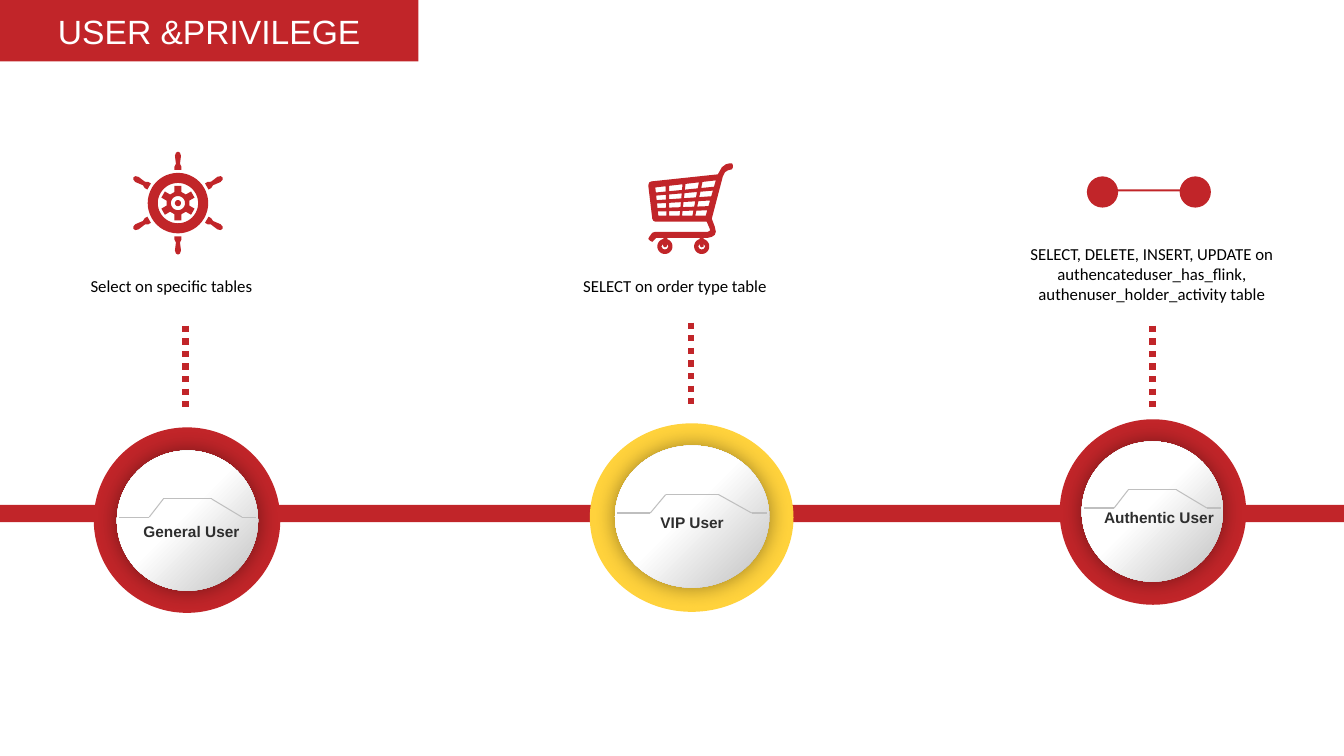
import dataclasses
import math
import typing

import lxml.etree
import pptx
import pptx.dml.color
import pptx.enum.dml
import pptx.enum.shapes
import pptx.enum.text
import pptx.oxml.ns
import pptx.util

PX = 9144
RED, GOLD, GREY, WHITE = "C12529", "FFD23C", "BFBFBF", "FFFFFF"
OVAL = pptx.enum.shapes.MSO_SHAPE.OVAL
RECT = pptx.enum.shapes.MSO_SHAPE.RECTANGLE
LEFT = pptx.enum.text.PP_ALIGN.LEFT
MID = pptx.enum.text.PP_ALIGN.CENTER

Point = tuple[float, float]
Path = list[Point]


@dataclasses.dataclass
class Box:
    x: int
    y: int
    w: int
    h: int


@dataclasses.dataclass
class Badge:
    ring: Box
    disc: Box
    fill: str


@dataclasses.dataclass
class Note:
    text: str
    box: Box
    look: dict[str, typing.Any]
    align: typing.Any
    wrap: bool


def tint(code: str) -> pptx.dml.color.RGBColor:
    return pptx.dml.color.RGBColor.from_string(code)


def put(target: typing.Any, values: dict[str, typing.Any]) -> None:
    for key, value in values.items():
        setattr(target, key, value)


def emu(box: Box) -> list[int]:
    return [side * PX for side in (box.x, box.y, box.w, box.h)]


def paint(shape: typing.Any, code: str) -> None:
    shape.fill.solid()
    shape.fill.fore_color.rgb = tint(code)
    shape.line.fill.background()
    shape.shadow.inherit = False


def block(shapes: typing.Any, kind: typing.Any, box: Box, code: str) -> typing.Any:
    shape = shapes.add_shape(kind, *emu(box))
    paint(shape, code)
    return shape


def stroke(shapes: typing.Any, start: Point, end: Point, code: str, width: float) -> typing.Any:
    ends = [round(side * PX) for side in (*start, *end)]
    line = shapes.add_connector(pptx.enum.shapes.MSO_CONNECTOR.STRAIGHT, *ends)
    line.line.color.rgb = tint(code)
    line.line.width = pptx.util.Pt(width)
    lxml.etree.SubElement(line._element.spPr, pptx.oxml.ns.qn("a:effectLst"))
    return line


def write(frame: typing.Any, text: str, look: dict[str, typing.Any], align: typing.Any) -> None:
    part = frame.paragraphs[0]
    part.alignment = align
    run = part.add_run()
    run.text = text
    put(run.font, {key: value for key, value in look.items() if key != "rgb"})
    run.font.color.rgb = tint(look["rgb"])


def label(shapes: typing.Any, note: Note) -> None:
    frame = shapes.add_textbox(*emu(note.box)).text_frame
    put(frame, {"word_wrap": note.wrap,
                "auto_size": pptx.enum.text.MSO_AUTO_SIZE.SHAPE_TO_FIT_TEXT})
    write(frame, note.text, note.look, note.align)


def shade(shape: typing.Any) -> None:
    name = pptx.oxml.ns.qn
    list_ = shape._element.spPr.find(name("a:effectLst"))
    cast = lxml.etree.SubElement(list_, name("a:outerShdw"),
                                 blurRad=str(pptx.util.Pt(15)), dist="0", algn="ctr")
    black = lxml.etree.SubElement(cast, name("a:srgbClr"), val="000000")
    lxml.etree.SubElement(black, name("a:alpha"), val="40000")


def draw_badge(slide: typing.Any, badge: Badge) -> None:
    shapes = slide.shapes.add_group_shape().shapes
    block(shapes, OVAL, badge.ring, badge.fill)
    disc = block(shapes, OVAL, badge.disc, WHITE)
    disc.fill.gradient()
    disc.fill.gradient_angle = 135
    for stop, code, place in zip(disc.fill.gradient_stops, (GREY, WHITE), (0, 0.54)):
        stop.color.rgb = tint(code)
        stop.position = place
    shade(disc)
    box = badge.disc
    trace = [(box.x + x * box.w / 140, box.y + y * box.h / 139) for x, y in TRACE]
    for start, end in zip(trace, trace[1:]):
        stroke(shapes, start, end, GREY, 0.75)


def round_path(x: float, y: float, size: float) -> Path:
    turns = [math.tau * step / 48 for step in range(48)]
    return [(x + size * math.cos(turn), y + size * math.sin(turn)) for turn in turns]


def spin(path: Path, turn: float, x: float, y: float) -> Path:
    cos, sin = math.cos(turn), math.sin(turn)
    return [(x + a * cos - b * sin, y + a * sin + b * cos) for a, b in path]


def outline(shapes: typing.Any, paths: list[Path], code: str) -> None:
    plans = [[(x * PX, y * PX) for x, y in path] for path in paths]
    pen = shapes.build_freeform(*plans[0][0], scale=1.0)
    for rank, plan in enumerate(plans):
        if rank:
            pen.move_to(*plan[0])
        pen.add_line_segments(plan[1:], close=True)
    paint(pen.convert_to_shape(), code)


def helm(x: float, y: float) -> list[Path]:
    turns = [math.tau * step / 6 for step in range(6)]
    spokes = [spin(SPOKE, turn, x, y) for turn in turns]
    gear = [point for turn in turns for point in spin(TOOTH, turn, x, y)]
    rings = [round_path(x, y, size) for size in (30, 20, 7, 3)]
    return spokes + [gear] + rings


def cart() -> list[Path]:
    def spot(u: float, v: float) -> Point:
        return (650 + 3 * v + u * (60 - 13 * v), 186 - 7 * u + v * (28 + 7 * u))

    cells = [[spot(a, c), spot(b, c), spot(b, d), spot(a, d)]
             for a, b in ((0, 0.17), (0.23, 0.45), (0.5, 0.72), (0.78, 1))
             for c, d in ((0, 0.18), (0.29, 0.45), (0.57, 0.73), (0.85, 1))]
    wheels = [path for x in (659.5, 696)
              for path in (round_path(x, 244.5, 7.5), spin(HOLE, 0, x, 244.5))]
    return [FRAME] + cells + wheels


TRACE: Path = [(2, 66), (32, 66), (46, 48), (94, 48), (124, 66), (138, 66)]
SPOKE: Path = [(-3.5, -33), (-3.5, -36), (-2, -39), (-3, -47), (-2, -50), (0, -51),
               (2, -50), (3, -47), (2, -39), (3.5, -36), (3.5, -33)]
TOOTH: Path = [(-3.5, -11), (-3.5, -17), (0, -17), (3.5, -17), (3.5, -11)]
HOLE: Path = [(-3.5, 0), (-2, -2.5), (-1.5, 0), (0, 1), (2, 0), (2, -2.5),
              (3.5, 0), (2, 2.5), (0, 3), (-2, 2.5)]
FRAME: Path = [
    (727, 164), (726, 162), (724, 162), (720, 163), (716, 166), (712, 173),
    (646, 180), (644, 181), (643, 184), (647, 217), (648, 219), (650, 220),
    (701, 220), (704, 227), (704, 229), (702, 230), (650, 230), (647, 231),
    (644, 235), (643, 237), (645, 239), (647, 240), (649, 238), (651, 236),
    (658, 236), (658, 237), (662, 237), (662, 236), (694, 236), (694, 237),
    (698, 237), (698, 236), (702, 236), (706, 235), (709, 233), (710, 230),
    (709, 225), (706, 217), (717, 175), (719, 171), (722, 169), (726, 168), (727, 166)]
BOLD = {"name": "Arial", "size": pptx.util.Pt(11), "bold": True, "rgb": "2E2E2E"}
BODY = {"name": "Calibri", "size": pptx.util.Pt(12), "rgb": "000000"}
HEAD = {"name": "Arial", "size": pptx.util.Pt(24), "rgb": WHITE}
BADGES = [
    Badge(Box(93, 424, 185, 184), Box(116, 447, 140, 139), RED),
    Badge(Box(585, 420, 202, 187), Box(610, 442, 153, 141), GOLD),
    Badge(Box(1051, 416, 185, 184), Box(1073, 438, 140, 139), RED)]
NOTES = [
    Note("General User", Box(132, 513, 116, 29), BOLD, MID, False),
    Note("VIP User", Box(645, 504, 83, 29), BOLD, MID, False),
    Note("Authentic User", Box(1084, 499, 131, 29), BOLD, MID, False),
    Note("Select on specific tables", Box(80, 269, 223, 30), BODY, LEFT, True),
    Note("SELECT on order type table", Box(561, 269, 217, 30), BODY, MID, True),
    Note("SELECT, DELETE, INSERT, UPDATE on authencateduser_has_flink, "
         "authenuser_holder_activity table", Box(993, 237, 299, 71), BODY, MID, True)]


def main() -> None:
    deck = pptx.Presentation()
    put(deck, {"slide_width": 1333 * PX, "slide_height": 750 * PX})
    slide = deck.slides.add_slide(deck.slide_layouts[6])
    shapes = slide.shapes
    block(shapes, RECT, Box(0, 501, 1333, 17), RED)
    for badge in BADGES:
        draw_badge(slide, badge)
    for x, y in ((184, 323), (685, 320), (1143, 323)):
        line = stroke(shapes, (x, y), (x, y + 81), RED, 4.5)
        line.line.dash_style = pptx.enum.dml.MSO_LINE.ROUND_DOT
    outline(shapes, helm(176.5, 201.5), RED)
    outline(shapes, cart(), RED)
    link = shapes.add_group_shape().shapes
    for x in (1078, 1170):
        block(link, OVAL, Box(x, 175, 31, 31), RED)
    block(link, RECT, Box(1107, 188, 69, 2), RED)
    for note in NOTES:
        label(shapes, note)
    title = block(shapes, RECT, Box(0, 0, 415, 61), RED).text_frame
    title.vertical_anchor = pptx.enum.text.MSO_ANCHOR.MIDDLE
    write(title, "USER &PRIVILEGE", HEAD, MID)
    deck.save("out.pptx")


if __name__ == "__main__":
    main()
